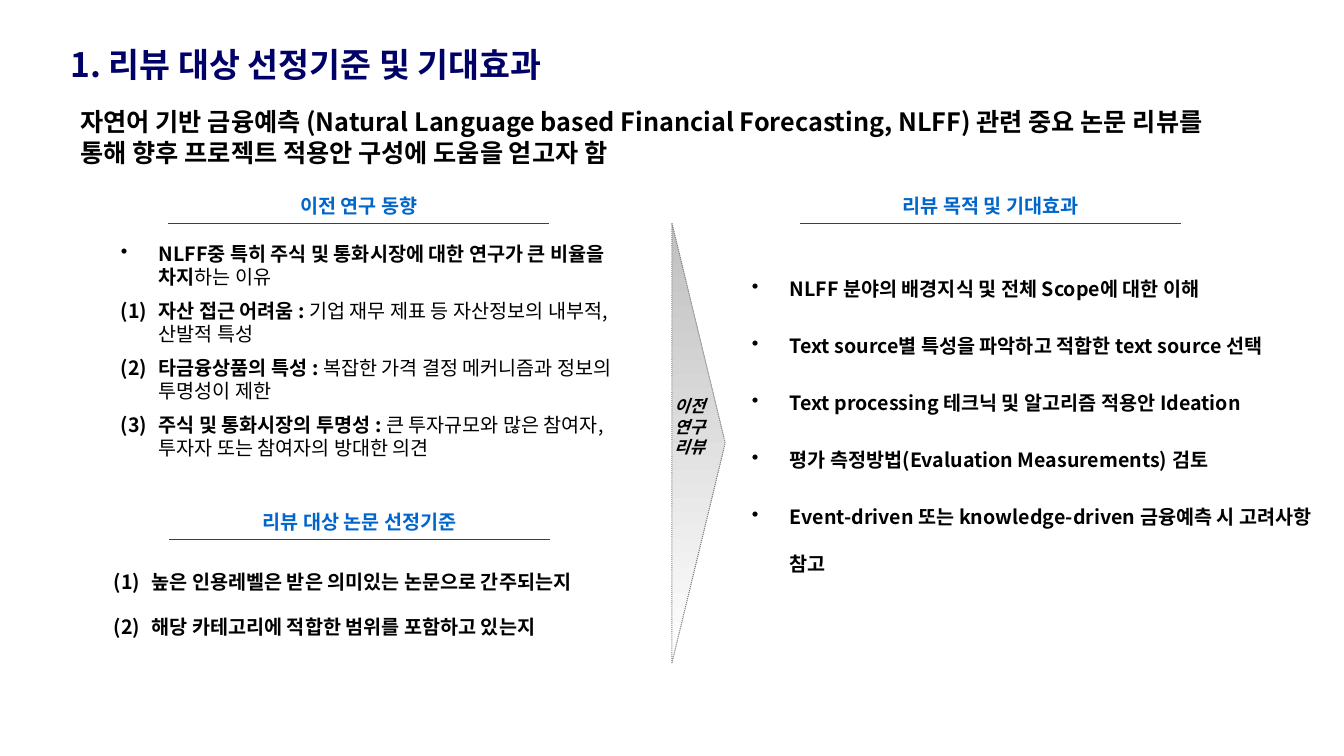
from lxml.etree import SubElement
from pptx import Presentation
from pptx.dml.color import RGBColor
from pptx.enum.dml import MSO_LINE
from pptx.enum.shapes import MSO_CONNECTOR, MSO_SHAPE
from pptx.enum.text import MSO_AUTO_SIZE as AutoSize, PP_ALIGN as Align
from pptx.oxml.ns import qn
from pptx.util import Pt

FONT = "Noto Sans CJK KR"
NAVY = RGBColor(0x00, 0x00, 0x66)
BLUE = RGBColor(0x00, 0x66, 0xCC)
BLACK = RGBColor(0x00, 0x00, 0x00)
DARK_GRAY = RGBColor(0x40, 0x40, 0x40)
GRAY = RGBColor(0x80, 0x80, 0x80)
SILVER = RGBColor(0xC0, 0xC0, 0xC0)
WHITE = RGBColor(0xFF, 0xFF, 0xFF)

TITLE = "1. 리뷰 대상 선정기준 및 기대효과"
SUMMARY = (
    "자연어 기반 금융예측 (Natural Language based Financial Forecasting, NLFF) "
    "관련 중요 논문 리뷰를 통해 향후 프로젝트 적용안 구성에 도움을 얻고자 함"
)
ARROW_LABEL = "이전 연구리뷰"

# heading, heading width, rule left, rule y
HEADINGS = [
    ("이전 연구 동향", 109.5, 120.25, 159.25),
    ("리뷰 대상 논문 선정기준", 170.5, 121, 385.25),
    ("리뷰 목적 및 기대효과", 156, 571.75, 159.25),
]
RULE_WIDTH = 272
HEADING_HEIGHT = 24.25

# Each item: numbered or not, bold part, plain part
TRENDS = [
    (False, "NLFF중 특히 주식 및 통화시장에 대한 연구가 큰 비율을 차지", "하는 이유"),
    (True, "자산 접근 어려움 : ", "기업 재무 제표 등 자산정보의 내부적, 산발적 특성"),
    (True, "타금융상품의 특성 : ", "복잡한 가격 결정 메커니즘과 정보의 투명성이 제한"),
    (True, "주식 및 통화시장의 투명성 : ",
     "큰 투자규모와 많은 참여자, 투자자 또는 참여자의 방대한 의견"),
]
CRITERIA = [
    (True, "높은 인용레벨은 받은 의미있는 논문으로 간주되는지", ""),
    (True, "해당 카테고리에 적합한 범위를 포함하고 있는지", ""),
]
GOALS = [
    (False, "NLFF 분야의 배경지식 및 전체 Scope에 대한 이해", ""),
    (False, "Text source별 특성을 파악하고 적합한 text source 선택", ""),
    (False, "Text processing 테크닉 및 알고리즘 적용안 Ideation", ""),
    (False, "평가 측정방법(Evaluation Measurements) 검토", ""),
    (False, "Event-driven 또는 knowledge-driven 금융예측 시 고려사항 참고", ""),
]
# items, (left, top, width, height), line spacing
LISTS = [
    (TRENDS, (79.2, 169.2, 370.8, 168.5), 1.0),
    (CRITERIA, (74.2, 395.3, 393, 62), 1.5),
    (GOALS, (530, 177.8, 414.7, 244.8), 2.0),
]
INDENT = 27
ITEM_GAP = 7


def add_box(page, area, wrap=True):
    box = page.shapes.add_textbox(*map(Pt, area))
    box.text_frame.word_wrap = wrap
    box.text_frame.auto_size = AutoSize.SHAPE_TO_FIT_TEXT
    return box.text_frame


def style(para, size, color):
    """Set the font of a paragraph for Latin and Korean letters."""
    font = para.font
    font.name, font.size = FONT, Pt(size)
    font.color.rgb = color
    SubElement(font._element, qn("a:ea"), typeface=FONT)


def add_text(page, text, area, size, color, wrap=True):
    frame = add_box(page, area, wrap)
    para = frame.paragraphs[0]
    para.text = text
    style(para, size, color)
    para.font.bold = True
    return frame


def add_bullet(para, numbered):
    props = para._p.get_or_add_pPr()
    props.set("marL", str(Pt(INDENT)))
    props.set("indent", str(-Pt(INDENT)))
    if numbered:
        bullet = SubElement(props, qn("a:buAutoNum"), type="arabicParenBoth")
    else:
        bullet = SubElement(props, qn("a:buChar"), char="•")
    props.find(qn("a:defRPr")).addprevious(bullet)


def add_list(page, items, area, line_spacing):
    frame = add_box(page, area)
    for index, (numbered, strong, plain) in enumerate(items):
        para = frame.add_paragraph() if index else frame.paragraphs[0]
        para.line_spacing = line_spacing
        para.space_before = Pt(ITEM_GAP if index else 0)
        style(para, 14, BLACK)
        add_bullet(para, numbered)
        for text, bold in ((strong, True), (plain, False)):
            if text:
                span = para.add_run()
                span.text = text
                span.font.bold = bold


def add_heading(page, text, width, left, y):
    area = (left + (RULE_WIDTH - width) / 2, y - HEADING_HEIGHT, width, HEADING_HEIGHT)
    frame = add_text(page, text, area, 14, BLUE, wrap=False)
    frame.paragraphs[0].alignment = Align.CENTER
    rule = page.shapes.add_connector(
        MSO_CONNECTOR.STRAIGHT, Pt(left), Pt(y), Pt(left + RULE_WIDTH), Pt(y))
    rule.line.color.rgb = DARK_GRAY
    rule.line.width = Pt(0.5)
    SubElement(rule._element.spPr, qn("a:effectLst"))


def add_arrow(page):
    arrow = page.shapes.add_shape(
        MSO_SHAPE.FLOWCHART_EXTRACT, Pt(342), Pt(297.4), Pt(314), Pt(38))
    arrow.rotation = 90
    arrow.shadow.inherit = False
    arrow.fill.gradient()
    arrow.fill.gradient_angle = 0
    for stop, color in zip(arrow.fill.gradient_stops, (SILVER, WHITE)):
        stop.color.rgb = color
    arrow.line.color.rgb = GRAY
    arrow.line.width = Pt(0.75)
    arrow.line.dash_style = MSO_LINE.ROUND_DOT
    label = add_text(page, ARROW_LABEL, (474.5, 279.4, 43.2, 51), 12, BLACK)
    label.paragraphs[0].font.italic = True


def main():
    deck = Presentation()
    deck.slide_width, deck.slide_height = Pt(960), Pt(540)
    page = deck.slides.add_slide(deck.slide_layouts[6])

    title = add_text(page, TITLE, (50.4, 31, 731.5, 22.3), 24, NAVY)
    title.auto_size = AutoSize.NONE
    title.margin_left = title.margin_right = title.margin_top = title.margin_bottom = 0
    add_text(page, SUMMARY, (50.4, 72.7, 819.4, 51), 18, BLACK)

    for heading in HEADINGS:
        add_heading(page, *heading)
    add_arrow(page)
    for items, area, line_spacing in LISTS:
        add_list(page, items, area, line_spacing)
    deck.save("out.pptx")


if __name__ == "__main__":
    main()
